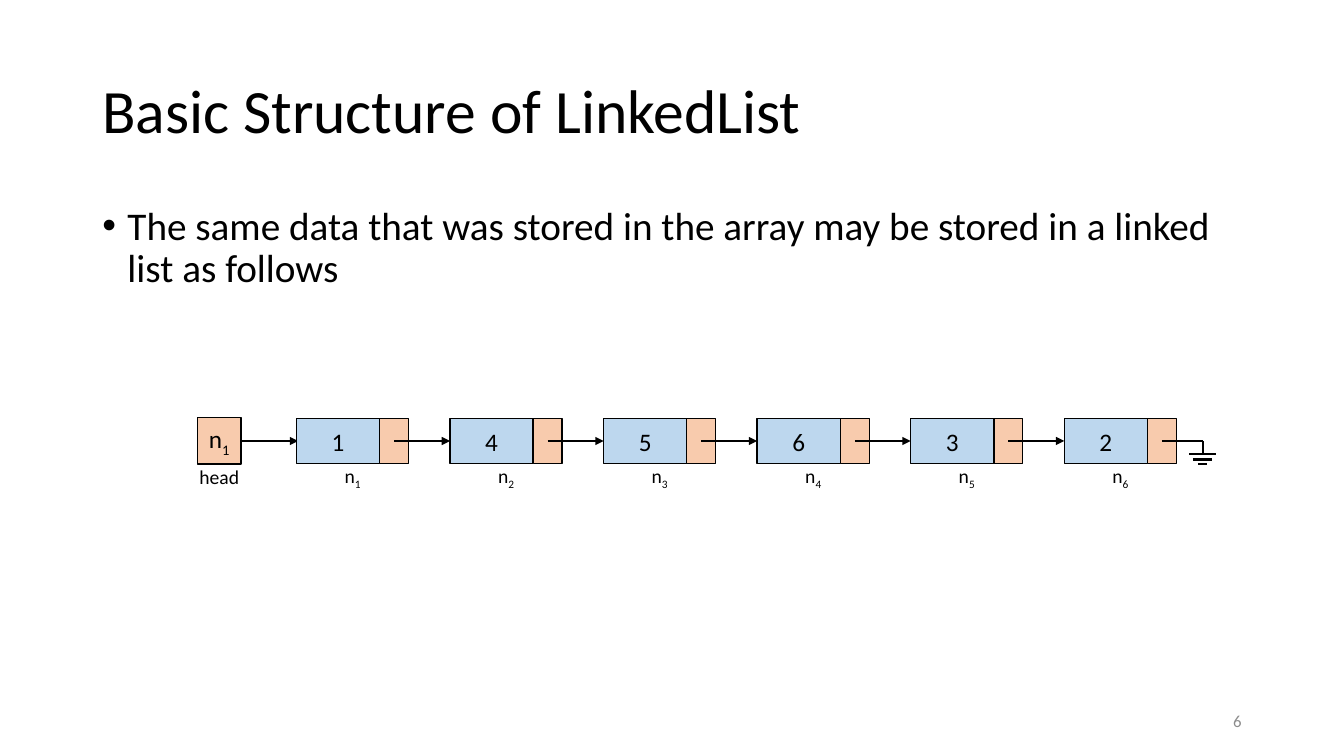
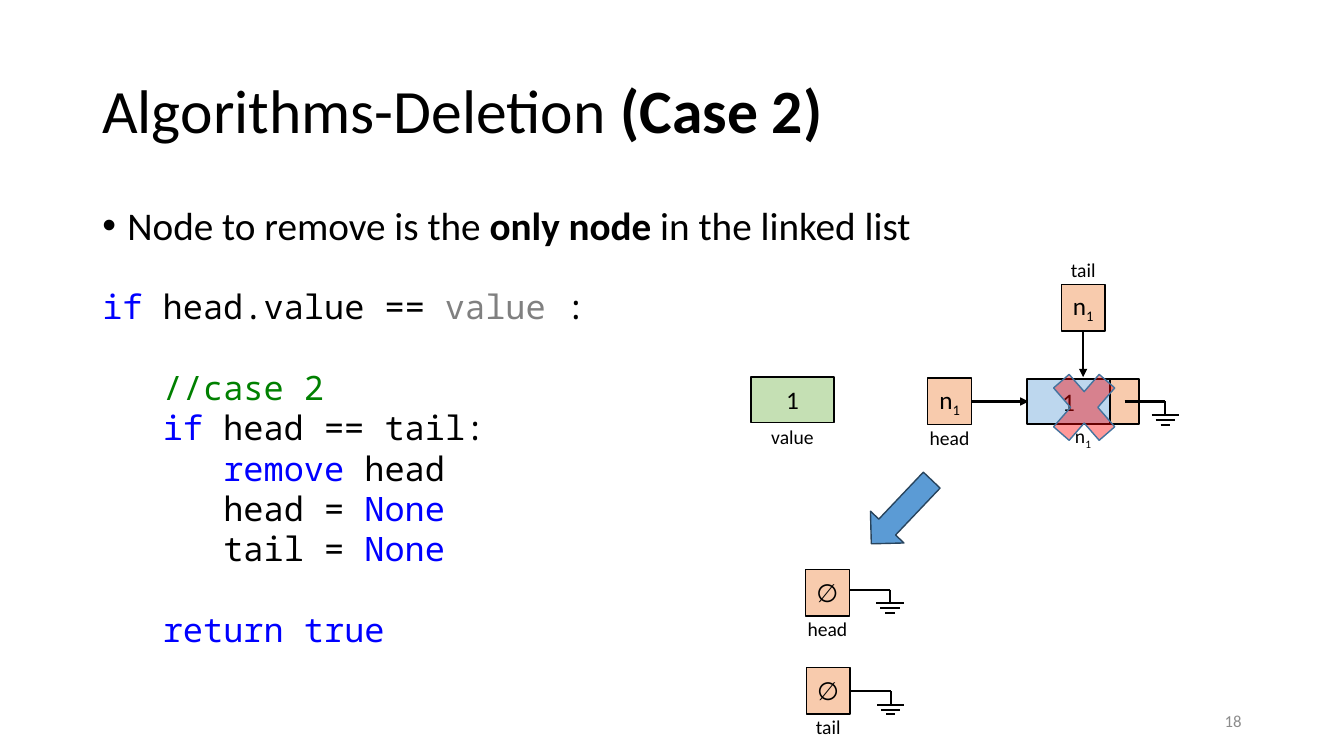
from dataclasses import dataclass
from typing import NamedTuple, Optional

from pptx import Presentation
from pptx.dml.color import RGBColor
from pptx.enum.shapes import MSO_CONNECTOR, MSO_SHAPE as Shape
from pptx.enum.text import MSO_ANCHOR as Anchor, PP_ALIGN as Align
from pptx.oxml.ns import qn
from pptx.util import Inches, Pt

# The slide is a grid of 160 by 90 square cells; all lengths are in cells.
COLUMNS, ROWS = 160, 90
CELL = Inches(7.5) / ROWS

BLACK = RGBColor(0x00, 0x00, 0x00)
WHITE = RGBColor(0xFF, 0xFF, 0xFF)
PAGE_GRAY = RGBColor(0x8C, 0x8C, 0x8C)
DATA_BLUE = RGBColor(0xBD, 0xD7, 0xEE)
POINTER_ORANGE = RGBColor(0xF8, 0xCB, 0xAD)
VALUE_GREEN = RGBColor(0xC5, 0xE0, 0xB4)
CROSS_RED = RGBColor(0xFF, 0x00, 0x00)
CROSS_EDGE = RGBColor(0x43, 0x73, 0x9E)
STEP_BLUE = RGBColor(0x5B, 0x9B, 0xD5)
STEP_EDGE = RGBColor(0x28, 0x44, 0x5D)
KEYWORD_BLUE = RGBColor(0x00, 0x00, 0xFF)
ARGUMENT_GRAY = RGBColor(0x80, 0x80, 0x80)
COMMENT_GREEN = RGBColor(0x00, 0x80, 0x00)

BODY_FONT, CODE_FONT = "Calibri", "Noto Sans Mono"
CODE_LINE = 28.8  # height of one code line in points

DATA_W, POINTER_W, NODE_H = 9.9, 3.45, 5.4
NODE_W = DATA_W + POINTER_W
NODE_PITCH = 18.28
REF_W, REF_H = 5.2, 5.55
LABEL_W, LABEL_H = 9, 3
GROUND_RUN, GROUND_DROP = 4.85, 1.5
GROUND_BARS = ((1.6, 1.62), (2.2, 1.15), (2.75, 0.55))  # drop, half width


class Box(NamedTuple):
    left: float
    top: float
    width: float
    height: float

    def emu(self) -> list[int]:
        return [cells(length) for length in self]


class Run(NamedTuple):
    text: str
    color: Optional[RGBColor] = None
    bold: bool = False
    subscript: bool = False


class Line(NamedTuple):
    runs: list[Run]
    gap_before: float = 0


@dataclass(frozen=True)
class Reference:
    """A variable box with its label; a ground hangs from it if it is empty."""
    left: float
    top: float
    label: str
    label_above: bool = False
    ground_drop: Optional[float] = None


TITLE = Box(11, 4.8, 138, 17.4)
BODY = Box(11, 24, 138, 57.1)
CODE = Box(11, 33.5, 138, 44.9)
PAGE = Box(113, 83.4, 36, 4.8)


def cells(length: float) -> int:
    return round(length * CELL)


def indexed(index: int) -> list[Line]:
    return [Line([Run("n"), Run(str(index), subscript=True)])]


def plain(text: str) -> list[Line]:
    return [Line([Run(text)])]


def write(frame, lines: list[Line], *, size: float, font: str = BODY_FONT,
          color: RGBColor = BLACK, align=Align.LEFT, anchor=Anchor.MIDDLE,
          spacing: Optional[float] = None, bullet: bool = False) -> None:
    frame.word_wrap = True
    frame.vertical_anchor = anchor
    for number, line in enumerate(lines):
        paragraph = frame.add_paragraph() if number else frame.paragraphs[0]
        if bullet:
            props = paragraph._p.get_or_add_pPr()
            props.set("marL", str(Inches(0.25)))
            props.set("indent", str(-Inches(0.25)))
            props.makeelement(qn("a:buFont"))
            for tag, key, value in (("a:buFont", "typeface", "Arial"),
                                    ("a:buChar", "char", "•")):
                props.append(props.makeelement(qn(tag), {key: value}))
        paragraph.alignment = align
        if spacing:
            paragraph.line_spacing = spacing
        if line.gap_before:
            paragraph.space_before = Pt(line.gap_before)
        for part in line.runs:
            run = paragraph.add_run()
            run.text = part.text
            run.font.name, run.font.size = font, Pt(size)
            run.font.bold = part.bold
            run.font.color.rgb = part.color or color
            if part.subscript:
                run._r.get_or_add_rPr().set("baseline", "-25000")


def add_text(slide, box: Box, lines: list[Line], **text_format) -> None:
    write(slide.shapes.add_textbox(*box.emu()).text_frame, lines, **text_format)


def add_label(slide, center: float, top: float, lines: list[Line]) -> None:
    add_text(slide, Box(center - LABEL_W / 2, top, LABEL_W, LABEL_H), lines,
             size=14, align=Align.CENTER)


def add_figure(slide, kind: Shape, box: Box, fill: RGBColor,
               edge: RGBColor = BLACK):
    figure = slide.shapes.add_shape(kind, *box.emu())
    figure.shadow.inherit = False
    figure.fill.solid()
    figure.fill.fore_color.rgb = fill
    figure.line.color.rgb = edge
    figure.line.width = Pt(1)
    return figure


def add_cell(slide, box: Box, fill: RGBColor, lines: list[Line]) -> None:
    cell = add_figure(slide, Shape.RECTANGLE, box, fill)
    write(cell.text_frame, lines, size=18, align=Align.CENTER)


def add_line(slide, start: tuple[float, float], end: tuple[float, float],
             arrow: bool = False) -> None:
    link = slide.shapes.add_connector(
        MSO_CONNECTOR.STRAIGHT, *map(cells, start), *map(cells, end))
    link.line.color.rgb = BLACK
    link.line.width = Pt(1.5)
    props = link.element.spPr
    if arrow:
        outline = props.find(qn("a:ln"))
        outline.append(outline.makeelement(qn("a:tailEnd"), {"type": "triangle"}))
    props.append(props.makeelement(qn("a:effectLst")))


def add_ground(slide, x: float, y: float) -> None:
    """Draw the null symbol at the end of a wire that starts at x, y."""
    corner = x + GROUND_RUN
    add_line(slide, (x, y), (corner, y))
    add_line(slide, (corner, y), (corner, y + GROUND_DROP))
    for drop, half in GROUND_BARS:
        add_line(slide, (corner - half, y + drop), (corner + half, y + drop))


def add_node(slide, left: float, top: float, value: int, index: int,
             last: bool) -> None:
    """Draw a list node and its link to the next node or to ground."""
    add_cell(slide, Box(left, top, DATA_W, NODE_H), DATA_BLUE, plain(str(value)))
    add_figure(slide, Shape.RECTANGLE,
               Box(left + DATA_W, top, POINTER_W, NODE_H), POINTER_ORANGE)
    add_label(slide, left + NODE_W / 2, top + NODE_H + 0.1, indexed(index))
    link_x, link_y = left + DATA_W + POINTER_W / 2, top + NODE_H / 2
    if last:
        add_ground(slide, link_x, link_y)
    else:
        add_line(slide, (link_x, link_y), (left + NODE_PITCH, link_y), arrow=True)


def add_reference(slide, ref: Reference) -> None:
    empty = ref.ground_drop is not None
    add_cell(slide, Box(ref.left, ref.top, REF_W, REF_H), POINTER_ORANGE,
             plain("∅") if empty else indexed(1))
    label_top = ref.top + (-LABEL_H - 0.25 if ref.label_above else REF_H + 0.05)
    add_label(slide, ref.left + REF_W / 2, label_top, plain(ref.label))
    if empty:
        add_ground(slide, ref.left + REF_W, ref.top + ref.ground_drop)


def add_list(slide, left: float, top: float, values: list[int]) -> None:
    """Draw the head reference, its arrow and the chain of nodes."""
    head = Reference(left - 11.8, top - 0.1, "head")
    add_reference(slide, head)
    middle = top + NODE_H / 2
    add_line(slide, (head.left + REF_W, middle), (left + 0.2, middle), arrow=True)
    for position, value in enumerate(values):
        add_node(slide, left + position * NODE_PITCH, top, value, position + 1,
                 last=position == len(values) - 1)


def new_slide(deck, title: list[Run], point: list[Run], page: int):
    slide = deck.slides.add_slide(deck.slide_layouts[6])
    slide.background.fill.solid()
    slide.background.fill.fore_color.rgb = WHITE
    add_text(slide, TITLE, [Line(title)], size=44, spacing=0.9)
    add_text(slide, BODY, [Line(point)], size=28, spacing=0.9,
             anchor=Anchor.TOP, bullet=True)
    add_text(slide, PAGE, plain(str(page)), size=12, color=PAGE_GRAY,
             align=Align.RIGHT)
    return slide


def build_structure(deck) -> None:
    slide = new_slide(
        deck, [Run("Basic Structure of LinkedList")],
        [Run("The same data that was stored in the array may be stored "
             "in a linked list as follows")], 6)
    add_list(slide, 35.3, 49.8, [1, 4, 5, 6, 3, 2])


def build_deletion(deck) -> None:
    slide = new_slide(
        deck, [Run("Algorithms-Deletion "), Run("(Case 2)", bold=True)],
        [Run("Node to remove is the "), Run("only node ", bold=True),
         Run("in the linked list")], 18)
    code = [
        Line([Run("if ", KEYWORD_BLUE), Run("head.value == "),
              Run("value ", ARGUMENT_GRAY), Run(":")]),
        Line([Run("   //case 2", COMMENT_GREEN)], CODE_LINE),
        Line([Run("   if", KEYWORD_BLUE), Run(" head == tail:")]),
        Line([Run("      remove", KEYWORD_BLUE), Run(" head")]),
        Line([Run("      head = "), Run("None", KEYWORD_BLUE)]),
        Line([Run("      tail = "), Run("None", KEYWORD_BLUE)]),
        Line([Run("   return true", KEYWORD_BLUE)], CODE_LINE),
    ]
    add_text(slide, CODE, code, size=24, font=CODE_FONT, anchor=Anchor.TOP)

    add_list(slide, 122.25, 45.1, [1])
    tail = Reference(126.35, 33.85, "tail", label_above=True)
    add_reference(slide, tail)
    tail_x = tail.left + REF_W / 2
    add_line(slide, (tail_x, tail.top + REF_H), (tail_x, 44.9), arrow=True)

    value = Box(89.4, 44.9, DATA_W, NODE_H)
    add_cell(slide, value, VALUE_GREEN, plain("1"))
    add_label(slide, value.left + DATA_W / 2, 50.5, plain("value"))

    cross = add_figure(slide, Shape.MATH_MULTIPLY, Box(123.85, 42.5, 10.45, 12),
                       CROSS_RED, CROSS_EDGE)
    red = cross.element.spPr.find(qn("a:solidFill"))[0]
    red.append(red.makeelement(qn("a:alpha"), {"val": "40000"}))

    for emptied in (Reference(95.9, 67.8, "head", ground_drop=2.4),
                    Reference(96, 79.45, "tail", ground_drop=2.85)):
        add_reference(slide, emptied)

    step = add_figure(slide, Shape.LEFT_ARROW, Box(102.1, 58.2, 10.45, 5.5),
                      STEP_BLUE, STEP_EDGE)
    step.rotation = 313.5


def main() -> None:
    deck = Presentation()
    deck.slide_width, deck.slide_height = cells(COLUMNS), cells(ROWS)
    build_structure(deck)
    build_deletion(deck)
    deck.save("out.pptx")


if __name__ == "__main__":
    main()
